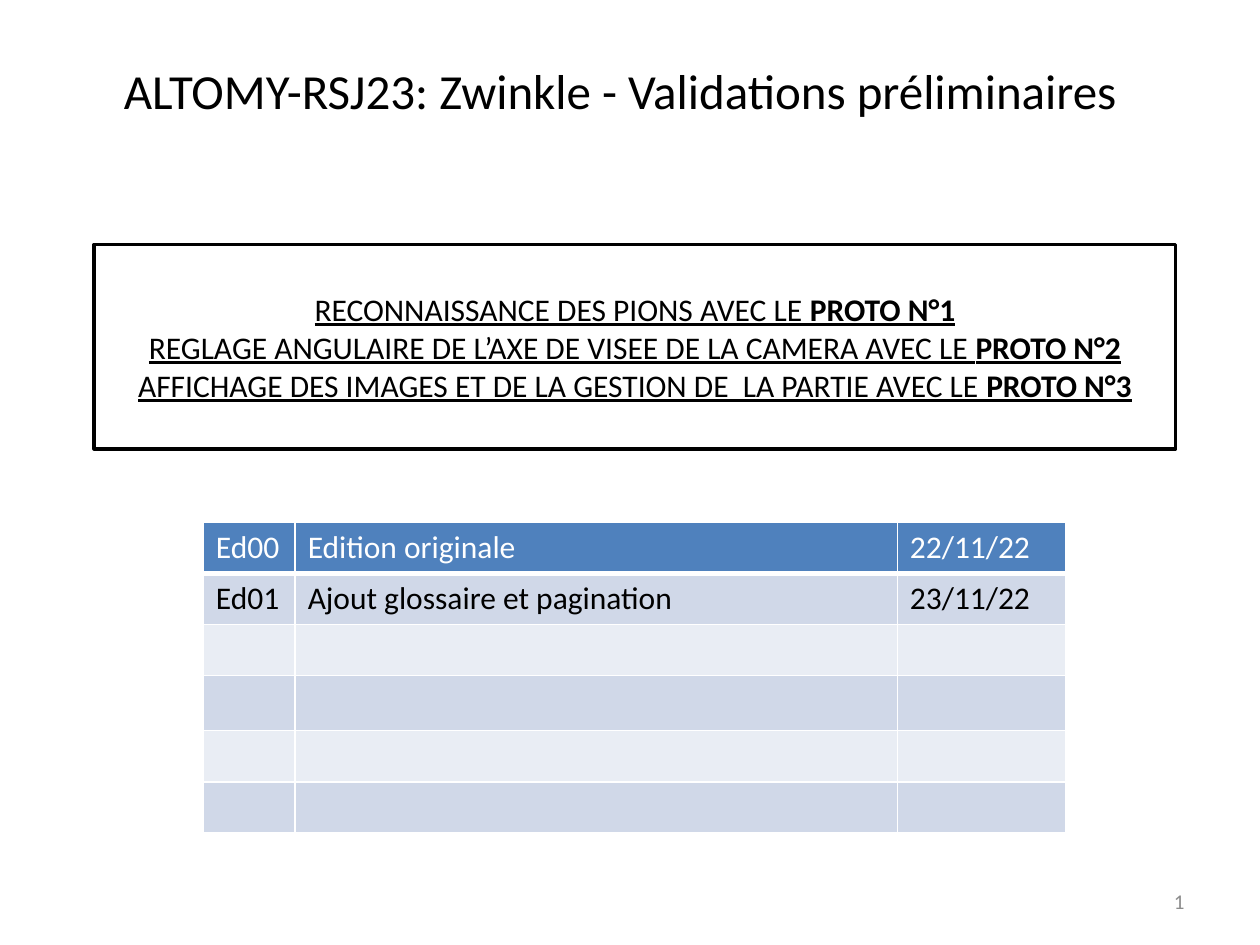
from dataclasses import dataclass

from lxml import etree
from pptx import Presentation
from pptx.dml.color import RGBColor
from pptx.enum.shapes import MSO_SHAPE
from pptx.enum.text import MSO_ANCHOR, PP_ALIGN
from pptx.oxml.ns import qn
from pptx.util import Cm, Pt

RECTANGLE = MSO_SHAPE.RECTANGLE
MIDDLE = MSO_ANCHOR.MIDDLE
LEFT, CENTER, RIGHT = PP_ALIGN.LEFT, PP_ALIGN.CENTER, PP_ALIGN.RIGHT


@dataclass(frozen=True)
class Theme:
    font: str = "Calibri"
    black: str = "000000"
    white: str = "FFFFFF"
    grey: str = "8C8C8C"
    header: str = "4F81BD"
    bands: tuple = ("D0D8E8", "E9EDF4")
    title_size: int = 28
    body_size: int = 18
    number_size: int = 12


THEME = Theme()
TITLE = "ALTOMY-RSJ23: Zwinkle - Validations préliminaires"
OBJECTIVES = [
    ("RECONNAISSANCE DES PIONS AVEC LE ", "PROTO N°1"),
    ("REGLAGE ANGULAIRE DE L’AXE DE VISEE DE LA CAMERA AVEC LE ", "PROTO N°2"),
    ("AFFICHAGE DES IMAGES ET DE LA GESTION DE  LA PARTIE AVEC LE ", "PROTO N°3"),
]
EDITIONS = [
    ("Ed00", "Edition originale", "22/11/22"),
    ("Ed01", "Ajout glossaire et pagination", "23/11/22"),
]
COLUMN_WIDTHS = (1.85, 12.14, 3.4)
ROW_HEIGHTS = (1.03, 1.03, 1.03, 1.11, 1.03, 1.03)


def add_run(p, text, size, color, bold=False, underline=False):
    r = p.add_run()
    r.text = text
    r.font.name = THEME.font
    r.font.size = Pt(size)
    r.font.bold = bold
    r.font.underline = underline
    r.font.color.rgb = RGBColor.from_string(color)


def add_label(s, box, text, size, color, align):
    tf = s.shapes.add_textbox(*map(Cm, box)).text_frame
    tf.word_wrap = True
    tf.vertical_anchor = MIDDLE
    p = tf.paragraphs[0]
    p.alignment = align
    add_run(p, text, size, color)


def add_objectives(s, box):
    sp = s.shapes.add_shape(RECTANGLE, *map(Cm, box))
    sp.shadow.inherit = False
    sp.fill.solid()
    sp.fill.fore_color.rgb = RGBColor.from_string(THEME.white)
    sp.line.color.rgb = RGBColor.from_string(THEME.black)
    sp.line.width = Pt(2)
    tf = sp.text_frame
    tf.word_wrap = True
    tf.vertical_anchor = MIDDLE
    for i, (goal, proto) in enumerate(OBJECTIVES):
        p = tf.add_paragraph() if i else tf.paragraphs[0]
        p.alignment = CENTER
        add_run(p, goal, THEME.body_size, THEME.black, underline=True)
        add_run(p, proto, THEME.body_size, THEME.black, bold=True, underline=True)


def set_borders(cell, top, bottom):
    tcPr = cell._tc.get_or_add_tcPr()
    widths = {"a:lnL": 1, "a:lnR": 1, "a:lnT": top, "a:lnB": bottom}
    for i, (tag, width) in enumerate(widths.items()):
        ln = etree.Element(qn(tag), w=str(Pt(width)))
        fill = etree.SubElement(ln, qn("a:solidFill"))
        etree.SubElement(fill, qn("a:srgbClr"), val=THEME.white)
        tcPr.insert(i, ln)


def add_editions(s, box):
    table = s.shapes.add_table(
        len(ROW_HEIGHTS), len(COLUMN_WIDTHS), *map(Cm, box)
    ).table
    for column, width in zip(table.columns, COLUMN_WIDTHS):
        column.width = Cm(width)
    for i, (row, height) in enumerate(zip(table.rows, ROW_HEIGHTS)):
        row.height = Cm(height)
        fill = THEME.bands[(i - 1) % 2] if i else THEME.header
        color = THEME.black if i else THEME.white
        for cell in row.cells:
            cell.fill.solid()
            cell.fill.fore_color.rgb = RGBColor.from_string(fill)
            set_borders(cell, 3 if i == 1 else 1, 1 if i else 3)
        if i < len(EDITIONS):
            for cell, text in zip(row.cells, EDITIONS[i]):
                p = cell.text_frame.paragraphs[0]
                p.alignment = LEFT
                add_run(p, text, THEME.body_size, color)


def main():
    prs = Presentation()
    prs.slide_width, prs.slide_height = Cm(25.4), Cm(19.05)
    s = prs.slides.add_slide(prs.slide_layouts[6])
    add_label(s, (1.7, 0.91, 21.6, 1.8), TITLE, THEME.title_size, THEME.black, CENTER)
    add_objectives(s, (1.9, 4.93, 21.8, 4.12))
    add_label(s, (18.2, 17.65, 5.93, 1.02), "1", THEME.number_size, THEME.grey, RIGHT)
    add_editions(s, (4.1, 10.53, sum(COLUMN_WIDTHS), sum(ROW_HEIGHTS)))
    prs.save("out.pptx")


if __name__ == "__main__":
    main()
